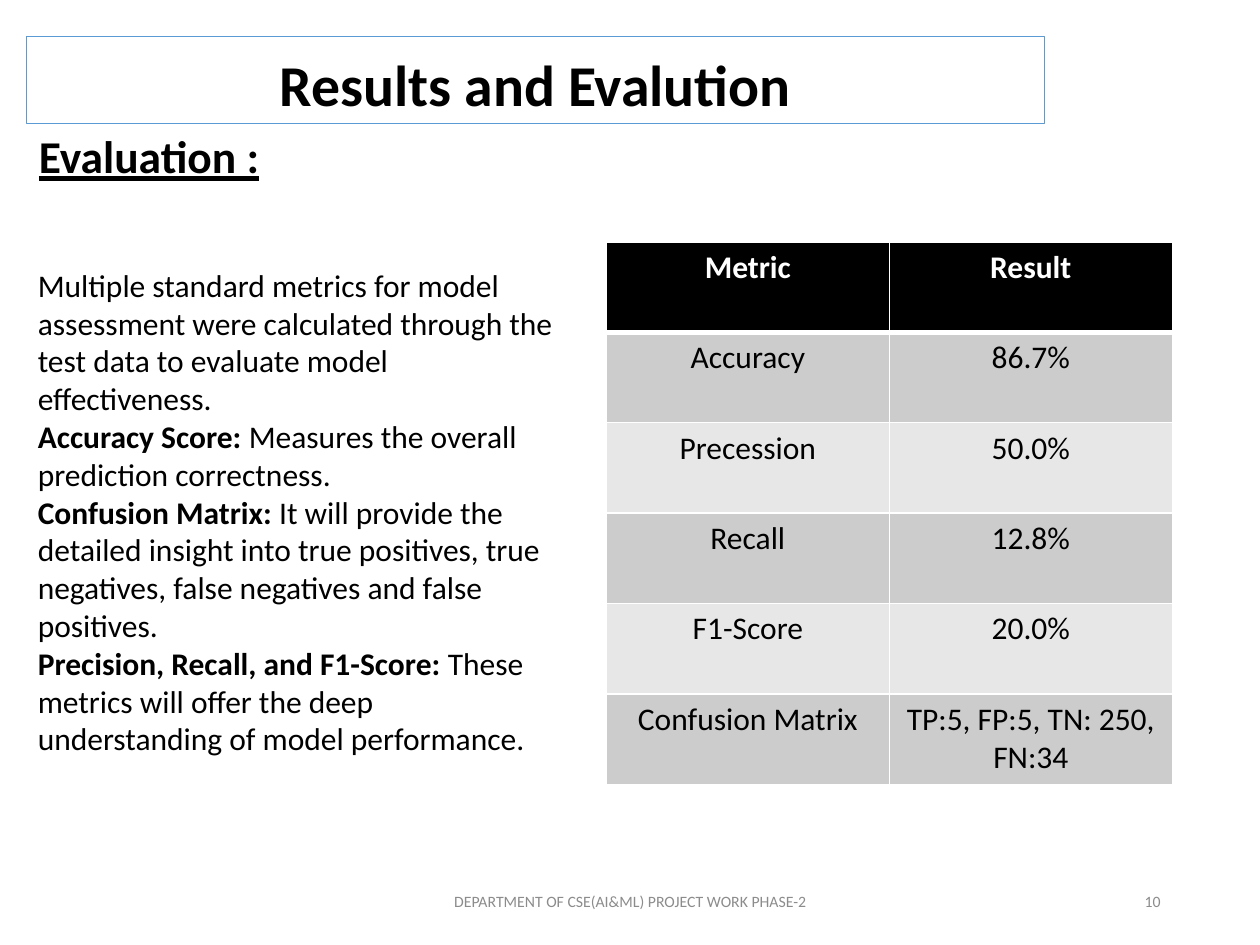
from lxml import etree
from pptx import Presentation
from pptx import util as u
from pptx.dml import color
from pptx.enum import text
from pptx.oxml import ns

COLORS = {"black": "000000", "white": "FFFFFF", "blue": "5B9BD5",
          "gray": "8C8C8C", "dark band": "CCCCCC", "light band": "E7E7E7"}
ALIGN = text.PP_ALIGN
ANCHOR = text.MSO_ANCHOR


def rgb(name):
    return color.RGBColor.from_string(COLORS[name])


def write(paragraph, runs, font_color="black", alignment=ALIGN.LEFT, **font_format):
    paragraph.alignment = alignment
    for words, bold in runs:
        run = paragraph.add_run()
        run.text = words
        run.font.color.rgb = rgb(font_color)
        for name, value in {"name": "Calibri", "bold": bold, **font_format}.items():
            setattr(run.font, name, value)


presentation = Presentation()
presentation.slide_width = u.Pt(720)
presentation.slide_height = u.Pt(540)
slide = presentation.slides.add_slide(presentation.slide_layouts[1])
title, body = slide.placeholders

small_texts = [
    (238.3, 500.4, 243.4, 28.8, "DEPARTMENT OF CSE(AI&ML)\u00a0PROJECT WORK PHASE-2",
     False, ANCHOR.MIDDLE, {"font_color": "gray", "alignment": ALIGN.CENTER, "size": u.Pt(9)}),
    (508.3, 500.4, 162, 28.8, "10",
     False, ANCHOR.MIDDLE, {"font_color": "gray", "alignment": ALIGN.RIGHT, "size": u.Pt(9)}),
    (15.1, 69.8, 217.4, 38.9, "Evaluation :",
     True, ANCHOR.TOP, {"size": u.Pt(26), "underline": True}),
]
for left, top, width, height, words, bold, anchor, text_format in small_texts:
    box = slide.shapes.add_textbox(u.Pt(left), u.Pt(top), u.Pt(width), u.Pt(height))
    box.text_frame.word_wrap = True
    box.text_frame.vertical_anchor = anchor
    write(box.text_frame.paragraphs[0], [(words, bold)], **text_format)

metrics = [
    ("Metric", "Result"),
    ("Accuracy", "86.7%"),
    ("Precession", "50.0%"),
    ("Recall", "12.8%"),
    ("F1-Score", "20.0%"),
    ("Confusion Matrix", "TP:5, FP:5, TN: 250, FN:34"),
]
table = slide.shapes.add_table(len(metrics), 2, u.Pt(346.5), u.Pt(138.2),
                               u.Pt(323.4), u.Pt(310.2)).table
for row_index, row in enumerate(metrics):
    header = row_index == 0
    band = "black" if header else "dark band" if row_index % 2 else "light band"
    for column_index, words in enumerate(row):
        cell = table.cell(row_index, column_index)
        write(cell.text_frame.paragraphs[0], [(words, header)],
              "white" if header else "black", ALIGN.CENTER, size=u.Pt(18))
        properties = cell._tc.get_or_add_tcPr()
        for side in ("lnL", "lnR", "lnT", "lnB"):
            thick = (header and side == "lnB") or (row_index == 1 and side == "lnT")
            line = etree.SubElement(properties, ns.qn(f"a:{side}"), w=str(u.Pt(3 if thick else 1)))
            line_fill = etree.SubElement(line, ns.qn("a:solidFill"))
            etree.SubElement(line_fill, ns.qn("a:srgbClr"), val=COLORS["white"])
        cell.fill.solid()
        cell.fill.fore_color.rgb = rgb(band)

placements = [
    (title, ANCHOR.MIDDLE, {"left": 15.1, "top": 20.9, "width": 581.8, "height": 49.7}),
    (body, ANCHOR.TOP, {"left": 14.4, "top": 148.3, "width": 313.9, "height": 290.9}),
]
for shape, anchor, place in placements:
    for name, value in place.items():
        setattr(shape, name, u.Pt(value))
    frame_format = {"auto_size": text.MSO_AUTO_SIZE.NONE, "word_wrap": True, "vertical_anchor": anchor}
    for name, value in frame_format.items():
        setattr(shape.text_frame, name, value)

title.fill.solid()
title.fill.fore_color.rgb = rgb("white")
title.line.color.rgb = rgb("blue")
title.line.width = u.Pt(1)
heading = title.text_frame.paragraphs[0]
heading.line_spacing = 1.1
heading.space_before = u.Pt(12)
write(heading, [("Results and Evalution", True)], alignment=ALIGN.CENTER, size=u.Pt(33))

explanations = [
    [("Multiple standard metrics for model assessment were calculated through the "
      "test data to evaluate model effectiveness.", False)],
    [("Accuracy Score: ", True), ("Measures the overall prediction correctness.", False)],
    [("Confusion Matrix:", True),
     (" It will provide the detailed insight into true positives, true negatives, "
      "false negatives and false positives.", False)],
    [("Precision, Recall, and F1-Score: ", True),
     ("These metrics will offer the deep understanding of model performance.", False)],
]
for index, runs in enumerate(explanations):
    paragraph = body.text_frame.add_paragraph() if index else body.text_frame.paragraphs[0]
    paragraph.space_before = u.Pt(0)
    write(paragraph, runs, size=u.Pt(18))
    properties = paragraph._p.get_or_add_pPr()
    properties.set("marL", "0")
    properties.set("indent", "0")
    etree.SubElement(properties, ns.qn("a:buNone"))

presentation.save("out.pptx")
